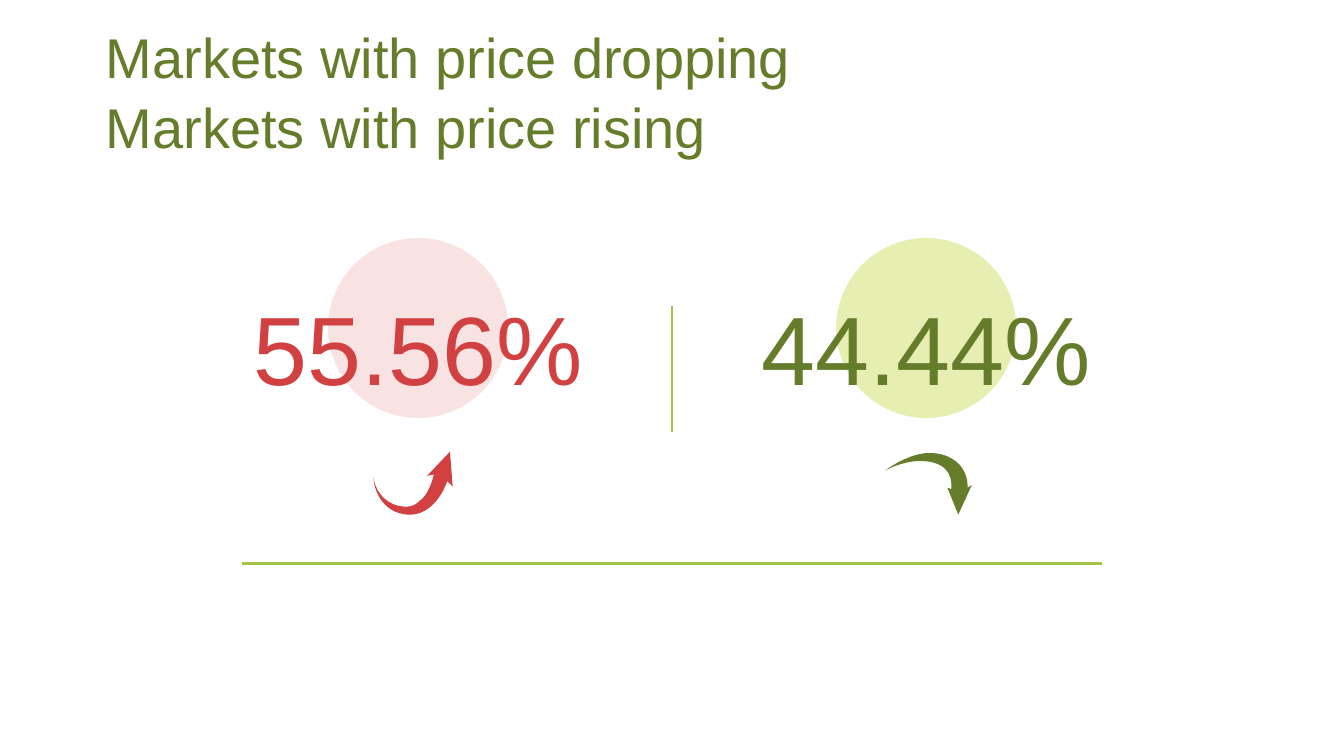
from lxml import etree
from pptx import Presentation
from pptx.dml.color import RGBColor
from pptx.enum import shapes, text
from pptx.oxml import ns
from pptx.util import Pt

RED = RGBColor(0xD2, 0x41, 0x41)
GREEN = RGBColor(0x65, 0x7C, 0x2B)
PINK = RGBColor(0xF9, 0xE2, 0xE2)
LIME = RGBColor(0xE7, 0xEE, 0xB2)
RULE = RGBColor(0xA1, 0xC4, 0x48)

RISING = {
    "box": (14.4, 114.5, 42.5, 33.8),
    "grid": (59, 47),
    "start": (57, 0),
    "segments": [
        [(40, 18)], [(45, 17)],
        [(43, 25), (40, 33), (34, 37)],
        [(31, 40), (28, 41), (24, 41)],
        [(13, 41), (2, 33), (0, 19)],
        [(1, 35), (12, 47), (27, 47)],
        [(40, 47), (50, 36), (55, 22)],
        [(59, 26)],
    ],
}
FALLING = {
    "box": (16.4, 115.2, 46.4, 33),
    "grid": (64, 46),
    "start": (0, 13),
    "segments": [
        [(10, 6), (22, 0), (33, 0)],
        [(47, 0), (61, 8), (61, 26)],
        [(64, 24)], [(54, 46)], [(46, 26)], [(49, 27)],
        [(50, 12), (40, 6), (26, 6)],
        [(17, 6), (8, 9), (0, 13)],
    ],
}


def style_fill(sp, color):
    sp.shadow.inherit = False
    sp.fill.solid()
    sp.fill.fore_color.rgb = color
    sp.line.fill.background()


def add_text(s, box, lines, frame, para, font, color):
    tf = s.shapes.add_textbox(*map(Pt, box)).text_frame
    margins = dict.fromkeys(
        ("margin_left", "margin_top", "margin_right", "margin_bottom"), Pt(7.2))
    for name, value in {"word_wrap": True, **margins, **frame}.items():
        setattr(tf, name, value)
    for i, line in enumerate(lines):
        p = tf.add_paragraph() if i else tf.paragraphs[0]
        for name, value in para.items():
            setattr(p, name, value)
        r = p.add_run()
        r.text = line
        for name, value in font.items():
            setattr(r.font, name, value)
        r.font.color.rgb = color


def add_rule(s, x1, y1, x2, y2):
    line = s.shapes.add_connector(
        shapes.MSO_CONNECTOR.STRAIGHT, *map(Pt, (x1, y1, x2, y2)))
    line.line.color.rgb = RULE
    line.line.width = Pt(1.5)
    etree.SubElement(line._element.spPr, ns.qn("a:effectLst"))


def curve_points(start, segment, steps=12):
    if len(segment) == 1:
        return segment
    a, b, c, d = start, *segment
    points = []
    for i in range(1, steps + 1):
        t = i / steps
        weights = ((1 - t) ** 3, 3 * t * (1 - t) ** 2, 3 * t * t * (1 - t), t ** 3)
        points.append(tuple(
            sum(w * q[axis] for w, q in zip(weights, (a, b, c, d)))
            for axis in (0, 1)))
    return points


def add_arrow(s, box, arrow, color):
    x, y, w, h = box
    columns, rows = arrow["grid"]
    outline = [arrow["start"]]
    for segment in arrow["segments"]:
        outline += curve_points(outline[-1], segment)
    points = [(Pt(x + px * w / columns), Pt(y + py * h / rows))
              for px, py in outline]
    builder = s.shapes.build_freeform(*points[0])
    builder.add_line_segments(points[1:], close=True)
    style_fill(builder.convert_to_shape(), color)


def add_heading(s, box):
    add_text(s, box, ["Markets with price dropping", "Markets with price rising"],
             {"vertical_anchor": text.MSO_ANCHOR.BOTTOM},
             {"line_spacing": 1.05},
             {"name": "Arial", "size": Pt(30)}, GREEN)


def add_share(s, box, value, color, disc_color, arrow):
    x, y, w, h = box
    size = 96.5
    disc = s.shapes.add_shape(shapes.MSO_SHAPE.OVAL, *map(
        Pt, (x + (w - size) / 2, y, size, size)))
    style_fill(disc, disc_color)
    add_text(s, (x, y + 15.1, w, 66.2), [value],
             {"vertical_anchor": text.MSO_ANCHOR.TOP, "margin_top": Pt(12)},
             {"alignment": text.PP_ALIGN.CENTER},
             {"name": "Arial", "size": Pt(52)}, color)
    dx, dy, aw, ah = arrow["box"]
    add_arrow(s, (x + w / 2 - 38.4 + dx, y + dy, aw, ah), arrow, color)


def add_rules(s, box):
    x, y, w, h = box
    add_rule(s, x + w / 2, y, x + w / 2, y + 67)
    add_rule(s, x, y + h, x + w, y + h)


def main():
    prs = Presentation()
    prs.slide_width, prs.slide_height = Pt(720), Pt(405)
    s = prs.slides.add_slide(prs.slide_layouts[6])
    add_heading(s, (49.7, 45.4, 465, 47.5))
    shares = [("55.56%", RED, PINK, RISING), ("44.44%", GREEN, LIME, FALLING)]
    for i, share in enumerate(shares):
        add_share(s, (49.4 + 272.2 * i, 127.5, 349.2, 149), *share)
    add_rules(s, (129.6, 164.2, 460.8, 137.5))
    prs.save("out.pptx")


if __name__ == "__main__":
    main()
